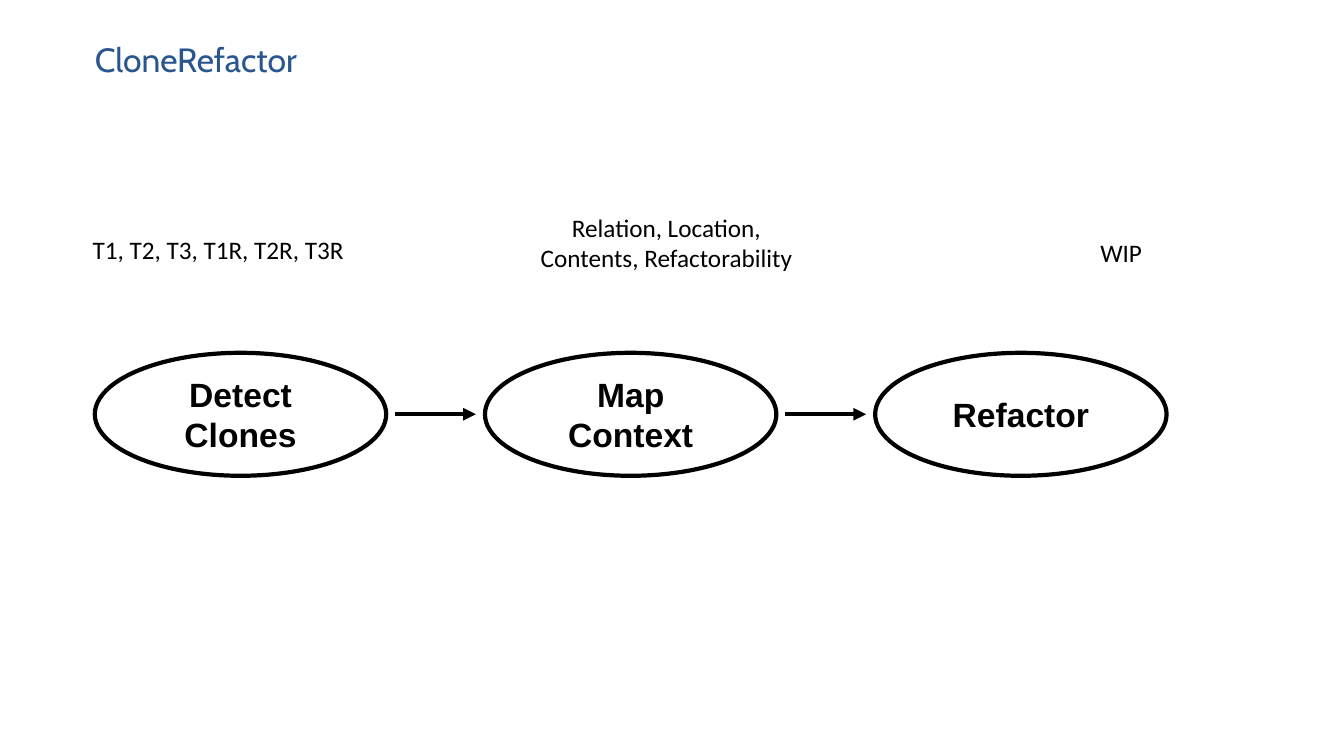
from lxml.etree import SubElement
from pptx import Presentation
from pptx.dml.color import RGBColor
from pptx.enum.shapes import MSO_CONNECTOR, MSO_SHAPE
from pptx.enum.text import MSO_ANCHOR, PP_ALIGN
from pptx.oxml.ns import qn
from pptx.util import Inches, Pt

COLORS = {"title": "2A568F", "ink": "000000", "paper": "FFFFFF"}
FORMATS = {
    "title": {"name": "Cabin", "size": Pt(24), "bold": False},
    "label": {"name": "Calibri", "size": Pt(18), "bold": False},
    "step": {"name": "Arial", "size": Pt(24), "bold": True},
}
INSETS = {
    "title": (0, 0),
    "label": (0.1, 0.05),
    "step": (0.12, 0.07),
}
LABELS = [
    ("T1, T2, T3, T1R, T2R, T3R", 0.82, 2.28, 0.7, PP_ALIGN.LEFT),
    ("Relation, Location, Contents, Refactorability", 5.18, 2.06, 1, PP_ALIGN.CENTER),
    ("WIP", 9.69, 2.31, 0.4, PP_ALIGN.CENTER),
]
STEPS = ["Detect Clones", "Map Context", "Refactor"]


def color(name):
    """Return the named palette color."""
    return RGBColor.from_string(COLORS[name])


def write_text(shape, text, style, ink, alignment):
    """Fill a shape with one formatted paragraph and return it."""
    horizontal, vertical = INSETS[style]
    frame_format = {
        "word_wrap": True,
        "margin_left": Inches(horizontal),
        "margin_right": Inches(horizontal),
        "margin_top": Inches(vertical),
        "margin_bottom": Inches(vertical),
    }
    for name, value in frame_format.items():
        setattr(shape.text_frame, name, value)
    paragraph = shape.text_frame.paragraphs[0]
    paragraph.alignment = alignment
    run = paragraph.add_run()
    run.text = text
    for name, value in FORMATS[style].items():
        setattr(run.font, name, value)
    run.font.color.rgb = color(ink)
    return paragraph


def add_text(slide, text, box, style, ink, alignment):
    """Add a text box in the given box and return its paragraph."""
    shape = slide.shapes.add_textbox(*map(Inches, box))
    return write_text(shape, text, style, ink, alignment)


def add_title(slide, box):
    """Add the slide title."""
    paragraph = add_text(slide, "CloneRefactor", box, "title", "title", PP_ALIGN.LEFT)
    paragraph.line_spacing = Pt(28)


def add_labels(slide, width):
    """Add the note above each step."""
    for text, left, top, height, alignment in LABELS:
        add_text(slide, text, (left, top, width, height), "label", "ink", alignment)


def add_step(slide, text, box):
    """Add one outlined ellipse with its caption."""
    shape = slide.shapes.add_shape(MSO_SHAPE.OVAL, *map(Inches, box))
    shape.shadow.inherit = False
    shape.fill.solid()
    shape.fill.fore_color.rgb = color("paper")
    shape.line.color.rgb = color("ink")
    shape.line.width = Pt(3)
    shape.text_frame.vertical_anchor = MSO_ANCHOR.MIDDLE
    write_text(shape, text, "step", "ink", PP_ALIGN.CENTER)


def add_arrow(slide, start, end, middle):
    """Add a horizontal arrow between two steps."""
    points = map(Inches, (start, middle, end, middle))
    arrow = slide.shapes.add_connector(MSO_CONNECTOR.STRAIGHT, *points)
    arrow.line.color.rgb = color("ink")
    arrow.line.width = Pt(3)
    SubElement(arrow.line._get_or_add_ln(), qn("a:tailEnd"), type="triangle")
    SubElement(arrow._element.spPr, qn("a:effectLst"))


def add_flow(slide, box, step_width, clearance):
    """Spread the steps evenly over the box and join them with arrows."""
    left, top, width, height = box
    pitch = (width - step_width) / (len(STEPS) - 1)
    lefts = [left + index * pitch for index in range(len(STEPS))]
    for text, step_left in zip(STEPS, lefts):
        add_step(slide, text, (step_left, top, step_width, height))
    for step_left, next_left in zip(lefts, lefts[1:]):
        start = step_left + step_width + clearance
        add_arrow(slide, start, next_left - clearance, top + height / 2)


def main():
    """Build and save the slide."""
    presentation = Presentation()
    presentation.slide_width = Inches(13.33)
    presentation.slide_height = Inches(7.5)
    slide = presentation.slides.add_slide(presentation.slide_layouts[6])
    add_title(slide, (0.94, 0.4, 11.34, 0.43))
    add_labels(slide, 2.86)
    add_flow(slide, (0.94, 3.5, 10.63, 1.22), 2.89, 0.09)
    presentation.save("out.pptx")


if __name__ == "__main__":
    main()
